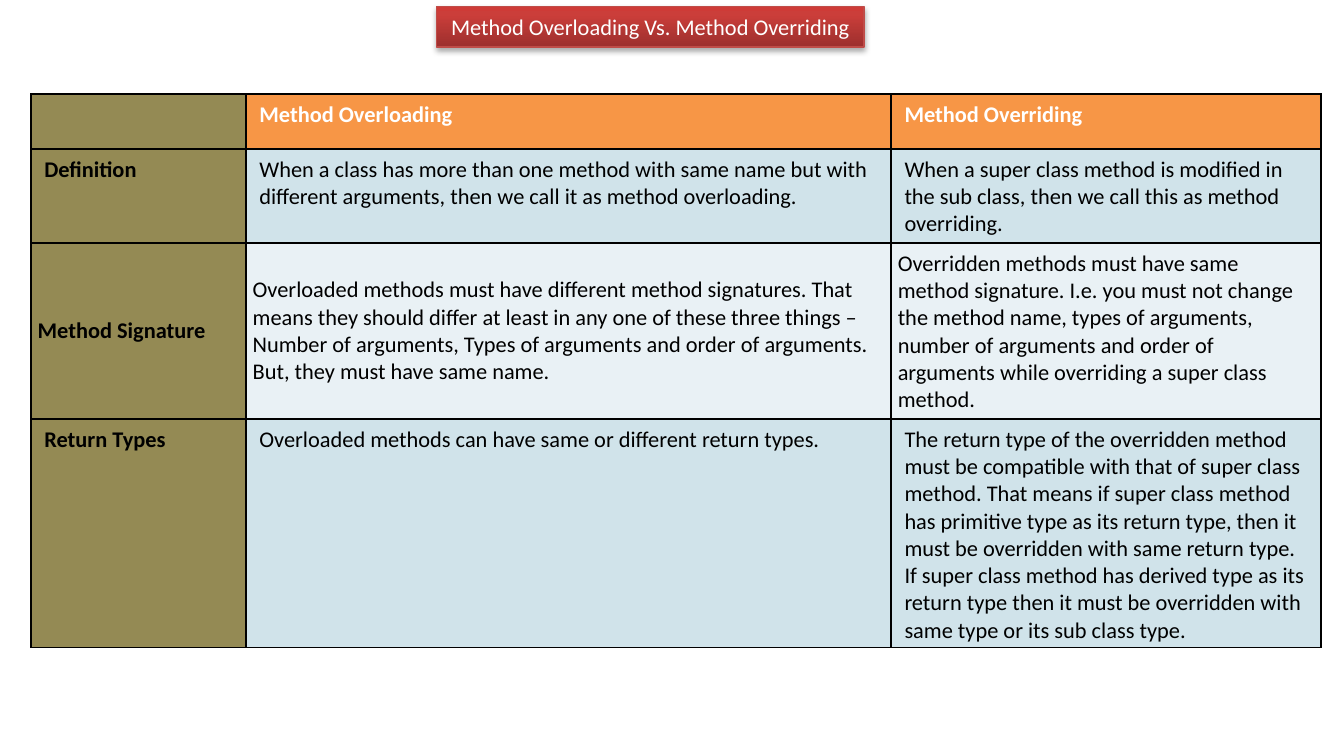
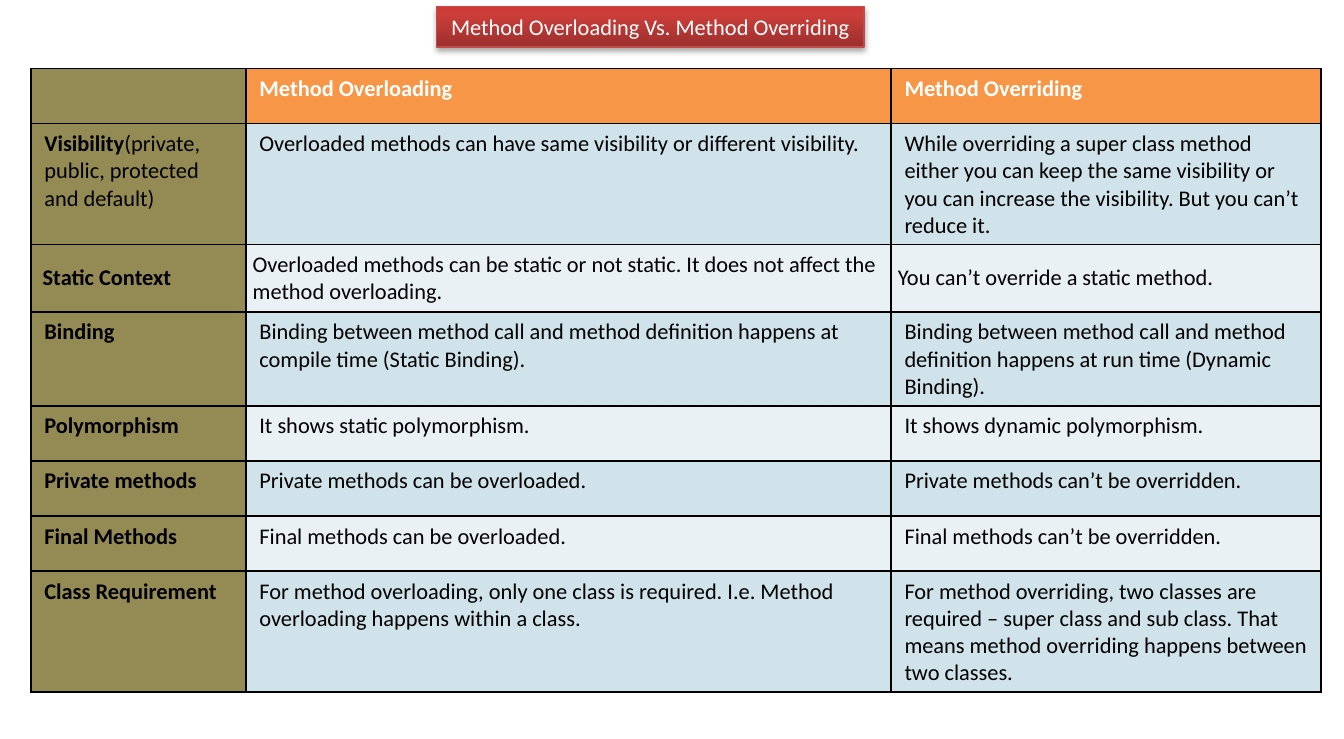
from copy import deepcopy

from lxml import etree
from pptx import Presentation
from pptx import util as u
from pptx.dml.color import RGBColor
from pptx.enum import shapes, text
from pptx.oxml import parse_xml
from pptx.oxml.ns import nsdecls, qn

TITLE = "Method Overloading Vs. Method Overriding"
HEADINGS = ("", "Method Overloading", "Method Overriding")
CENTRED_ROWS = ("Method Signature", " Static Context")

COMPARISONS = [
    {
        "top": 0.7,
        "rows": [
            (0.7, "Definition",
             "When a class has more than one method with same name but with different "
             "arguments, then we call it as method overloading.",
             "When a super class method is modified in the sub class, then we call this "
             "as method overriding."),
            (1.31, "Method Signature",
             "Overloaded methods must have different method signatures. That means they "
             "should differ at least in any one of these three things – Number of "
             "arguments, Types of arguments and order of arguments. But, they must have "
             "same name.",
             "Overridden methods must have same method signature. I.e. you must not "
             "change the method name, types of arguments, number of arguments and order "
             "of arguments while overriding a super class method."),
            (1.7, "Return Types",
             "Overloaded methods can have same or different return types.",
             "The return type of the overridden method must be compatible with that of "
             "super class method. That means if super class method has primitive type as "
             "its return type, then it must be overridden with same return type. If super "
             "class method has derived type as its return type then it must be overridden "
             "with same type or its sub class type."),
        ],
    },
    {
        "top": 0.51,
        "rows": [
            (0.9, "Visibility|(private, public, protected and default)",
             "Overloaded methods can have same visibility or different visibility.",
             "While overriding a super class method either you can keep the same "
             "visibility or you can increase the visibility. But you can’t reduce it."),
            (0.5, " Static Context",
             "Overloaded methods can be static or not static. It does not affect the "
             "method overloading.",
             "You can’t override a static method."),
            (0.7, "Binding",
             "Binding between method call and method definition happens at compile time "
             "(Static Binding).",
             "Binding between method call and method definition happens at run time "
             "(Dynamic Binding)."),
            (0.41, "Polymorphism",
             "It shows static polymorphism.",
             "It shows dynamic polymorphism."),
            (0.41, "Private methods",
             "Private methods can be overloaded.",
             "Private methods can’t be overridden."),
            (0.41, "Final Methods",
             "Final methods can be overloaded.",
             "Final methods can’t be overridden."),
            (0.9, "Class Requirement",
             "For method overloading, only one class is required. I.e. Method "
             "overloading happens within a class.",
             "For method overriding, two classes are required – super class and sub "
             "class. That means method overriding happens between two classes."),
        ],
    },
]

FONT = "Calibri"
FONT_SIZE = u.Pt(12)
WHITE = RGBColor(0xFF, 0xFF, 0xFF)
BLACK = RGBColor(0x00, 0x00, 0x00)
OLIVE = RGBColor(0x94, 0x8A, 0x54)
ORANGE = RGBColor(0xF7, 0x96, 0x46)
BANDS = (RGBColor(0xD0, 0xE3, 0xEA), RGBColor(0xE9, 0xF1, 0xF5))
TITLE_LINE = RGBColor(0xBF, 0x4C, 0x48)
TITLE_GRADIENT = [
    (0, RGBColor(0x9C, 0x2F, 0x2D)),
    (0.8, RGBColor(0xCB, 0x3E, 0x3A)),
    (1, RGBColor(0xCE, 0x3B, 0x37)),
]

TABLE_LEFT = 0.23
COLUMN_WIDTHS = (1.6, 4.8, 3.2)
HEADING_HEIGHT = 0.41
TIGHT_MARGIN = u.Inches(0.05)


def style_font(font, color, bold=False):
    font.name = FONT
    font.size = FONT_SIZE
    font.color.rgb = color
    font.bold = bold


def add_title(page):
    box = page.shapes.add_shape(shapes.MSO_SHAPE.RECTANGLE, u.Inches(3.25),
                                u.Inches(0.05), u.Inches(3.18), u.Inches(0.3))
    box.fill.gradient()
    box.fill.gradient_angle = 90
    stop_list = box.element.spPr.find(".//" + qn("a:gsLst"))
    stop_list.insert(1, deepcopy(stop_list[0]))
    for stop, (position, color) in zip(box.fill.gradient_stops, TITLE_GRADIENT):
        stop.position = position
        stop.color.rgb = color
    box.line.color.rgb = TITLE_LINE
    box.line.width = u.Pt(0.75)

    box.shadow.inherit = False
    box.element.spPr.find(qn("a:effectLst")).append(parse_xml(
        f'<a:outerShdw {nsdecls("a")} blurRad="{u.Pt(3.1)}" dist="{u.Pt(1.8)}" '
        'dir="5400000" rotWithShape="0"><a:srgbClr val="000000">'
        '<a:alpha val="35000"/></a:srgbClr></a:outerShdw>'))

    frame = box.text_frame
    frame.word_wrap = True
    frame.auto_size = text.MSO_AUTO_SIZE.SHAPE_TO_FIT_TEXT
    frame.text = TITLE
    frame.paragraphs[0].alignment = text.PP_ALIGN.CENTER
    style_font(frame.paragraphs[0].runs[0].font, WHITE)


def add_borders(cell):
    properties = cell._tc.get_or_add_tcPr()
    for index, side in enumerate(("lnL", "lnR", "lnT", "lnB")):
        line = etree.Element(qn(f"a:{side}"), w=str(u.Pt(1)))
        fill = etree.SubElement(line, qn("a:solidFill"))
        etree.SubElement(fill, qn("a:srgbClr"), val=str(BLACK))
        properties.insert(index, line)


def fill_cell(cell, content, fill, color, bold, centred):
    cell.fill.solid()
    cell.fill.fore_color.rgb = fill
    add_borders(cell)
    if centred:
        cell.vertical_anchor = text.MSO_ANCHOR.MIDDLE
        cell.margin_left = cell.margin_right = TIGHT_MARGIN
    para = cell.text_frame.paragraphs[0]
    style_font(para.font, color, bold)
    for index, part in enumerate(content.split("|") if content else []):
        span = para.add_run()
        span.text = part
        style_font(span.font, color, bold and index == 0)


def add_comparison(page, top, rows):
    lines = [(HEADING_HEIGHT, *HEADINGS), *rows]
    frame = page.shapes.add_table(
        len(lines), len(COLUMN_WIDTHS), u.Inches(TABLE_LEFT), u.Inches(top),
        u.Inches(sum(COLUMN_WIDTHS)), u.Inches(sum(line[0] for line in lines)))
    table = frame.table
    for column, width in zip(table.columns, COLUMN_WIDTHS):
        column.width = u.Inches(width)
    for row_index, (height, *contents) in enumerate(lines):
        table.rows[row_index].height = u.Inches(height)
        heading = row_index == 0
        row_fill = ORANGE if heading else BANDS[(row_index - 1) % 2]
        for column_index, content in enumerate(contents):
            label = column_index == 0
            fill_cell(table.cell(row_index, column_index), content,
                      fill=OLIVE if label else row_fill,
                      color=WHITE if heading else BLACK,
                      bold=heading or label,
                      centred=contents[0] in CENTRED_ROWS)


def main():
    deck = Presentation()
    deck.slide_width = u.Inches(10)
    deck.slide_height = u.Inches(5.5)
    for comparison in COMPARISONS:
        page = deck.slides.add_slide(deck.slide_layouts[6])
        add_title(page)
        add_comparison(page, **comparison)
    deck.save("out.pptx")


if __name__ == "__main__":
    main()
